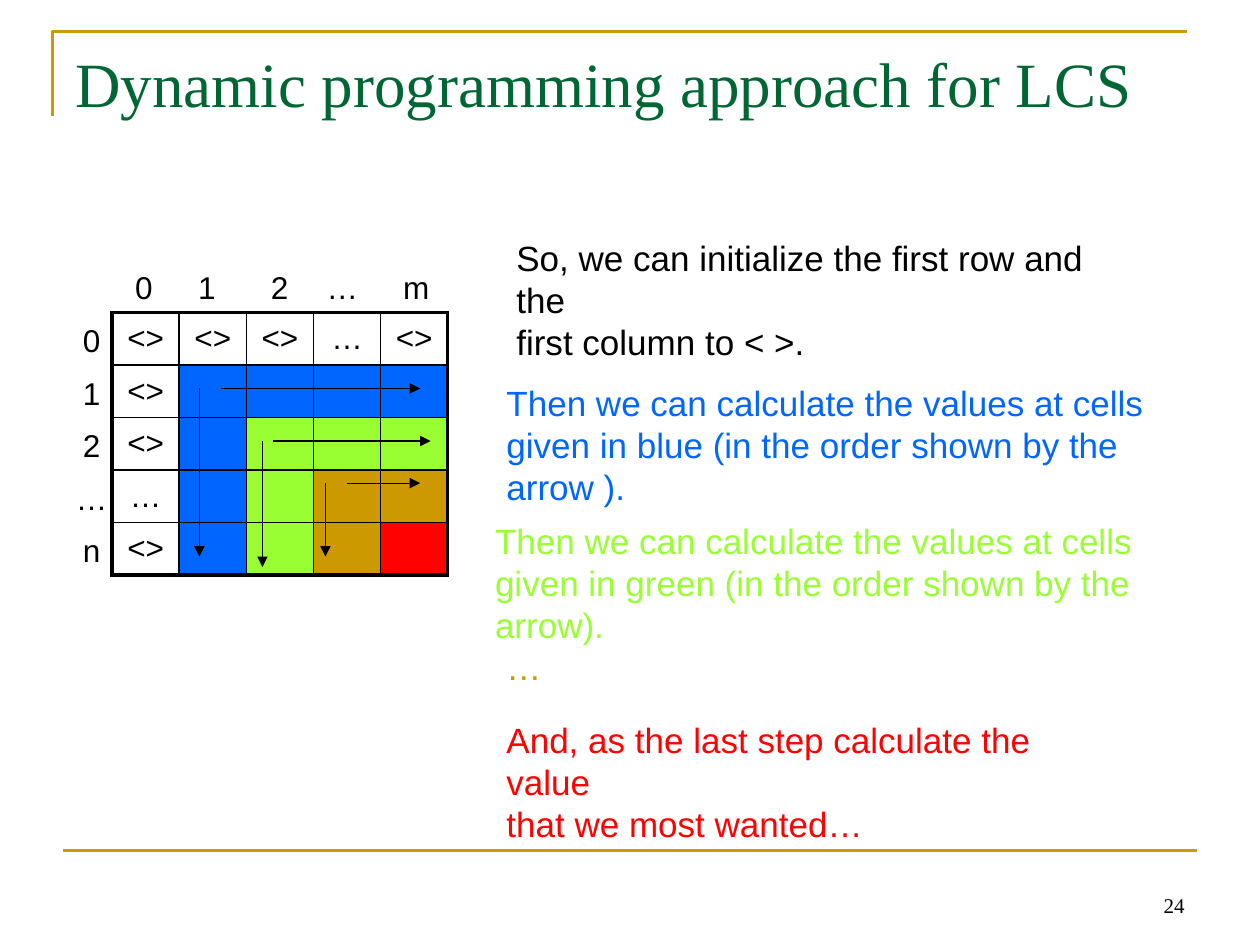
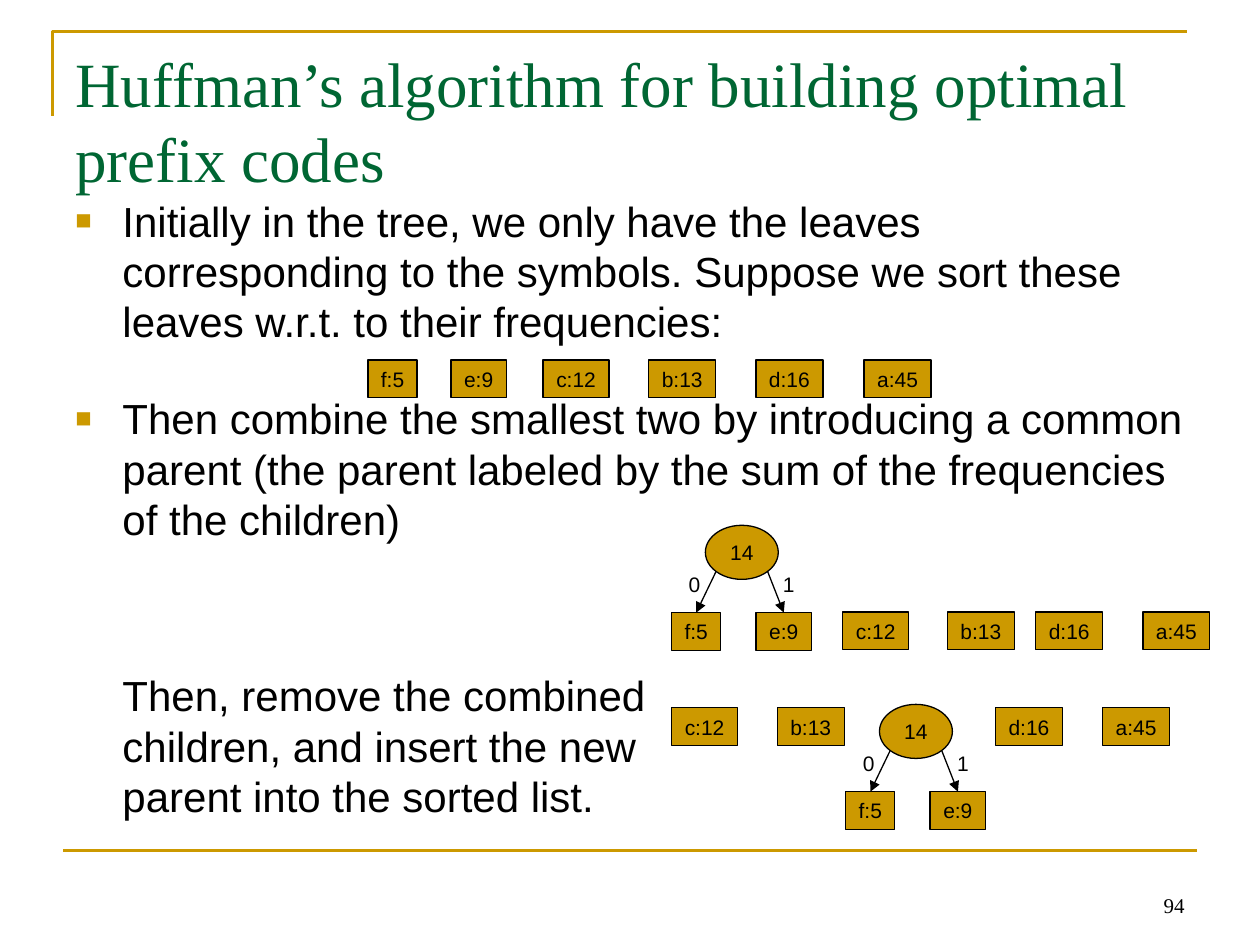
from math import cos, pi, sin

from lxml.etree import SubElement
from pptx import Presentation
from pptx.dml.color import RGBColor as RGB
from pptx.enum.shapes import MSO_CONNECTOR as CONN, MSO_SHAPE as SHAPE
from pptx.enum.text import MSO_ANCHOR as ANCHOR, MSO_AUTO_SIZE as AUTO, PP_ALIGN as ALIGN
from pptx.oxml.ns import qn
from pptx.util import Cm, Pt


class Theme:
    black = RGB.from_string("000000")
    green = RGB.from_string("006633")
    gold = RGB.from_string("CC9900")
    blue = RGB.from_string("0066FF")
    lime = RGB.from_string("99FF33")
    red = RGB.from_string("FF0101")
    serif = "Times New Roman"
    sans = "Arial"
    title = 36
    body = 24
    note = 20
    grid = 18
    small = 12
    rule = Pt(1.5)
    thin = Pt(0.75)


def write(tf, text, size=Theme.grid, color=Theme.black, font=Theme.sans,
          align=ALIGN.LEFT, anchor=ANCHOR.TOP, wrap=True, side=0.25):
    tf.text = text
    tf.word_wrap = wrap
    tf.auto_size = AUTO.NONE
    tf.vertical_anchor = anchor
    tf.margin_left = tf.margin_right = Cm(side)
    for p in tf.paragraphs:
        p.alignment = align
        for r in p.runs:
            r.font.size = Pt(size)
            r.font.name = font
            r.font.color.rgb = color


def add_line(s, x1, y1, x2, y2, color=Theme.black, width=Theme.thin, arrow=True):
    ln = s.shapes.add_connector(CONN.STRAIGHT, Cm(x1), Cm(y1), Cm(x2), Cm(y2))
    ln.line.color.rgb = color
    ln.line.width = width
    if arrow:
        SubElement(ln.line._get_or_add_ln(), qn("a:tailEnd"), type="triangle")
    SubElement(ln._element.spPr, qn("a:effectLst"))
    return ln


prs = Presentation()
prs.slide_width, prs.slide_height = Cm(25.4), Cm(19.05)

slides = []
for title, number in (
    ("Dynamic programming approach for LCS", "24"),
    ("Huffman’s algorithm for building optimal prefix codes", "94"),
):
    s = prs.slides.add_slide(prs.slide_layouts[5])
    slides.append(s)

    fb = s.shapes.build_freeform(Cm(1.06), Cm(2.33))
    fb.add_line_segments([(Cm(1.06), Cm(0.64)), (Cm(23.92), Cm(0.64))], close=False)
    corner = fb.convert_to_shape()
    corner.shadow.inherit = False
    corner.fill.background()
    corner.line.color.rgb = Theme.gold
    corner.line.width = Theme.rule
    add_line(s, 1.27, 17.15, 24.13, 17.15, Theme.gold, Theme.rule, arrow=False)

    sp = s.shapes.title
    sp.left, sp.top, sp.width, sp.height = Cm(1.27), Cm(0.76), Cm(22.86), Cm(3.18)
    write(sp.text_frame, title, Theme.title, Theme.green, Theme.serif)

    sp = s.shapes.add_textbox(Cm(18.2), Cm(17.35), Cm(5.93), Cm(1.27))
    write(sp.text_frame, number, Theme.small, font=Theme.serif,
          align=ALIGN.RIGHT, anchor=ANCHOR.BOTTOM)

lcs, huffman = slides

n = 5
tbl_shape = lcs.shapes.add_table(n, n, Cm(2.26), Cm(6.3), Cm(6.77), Cm(5.29))
tbl = tbl_shape.table
tbl.first_row = tbl.horz_banding = False
for i in range(n):
    tbl.columns[i].width = Cm(6.77 / n)
    tbl.rows[i].height = Cm(5.29 / n)

step_colors = [None, Theme.blue, Theme.lime, Theme.gold, Theme.red]
for row in range(n):
    for col in range(n):
        cell = tbl.cell(row, col)
        tcPr = cell._tc.get_or_add_tcPr()
        for side, outer in (("lnL", col == 0), ("lnR", col == n - 1),
                            ("lnT", row == 0), ("lnB", row == n - 1)):
            ln = SubElement(tcPr, qn(f"a:{side}"), w=str(Pt(2.25 if outer else 1)))
            fill = SubElement(ln, qn("a:solidFill"))
            SubElement(fill, qn("a:srgbClr"), val=str(Theme.black))
        color = step_colors[min(row, col)]
        if color:
            cell.fill.solid()
            cell.fill.fore_color.rgb = color
        else:
            cell.fill.background()
            write(cell.text_frame, "…" if max(row, col) == 3 else "<>", align=ALIGN.CENTER)
            cell.vertical_anchor = ANCHOR.MIDDLE

row_labels = [(t, 1.85, 6.35 + 1.06 * i) for i, t in enumerate("012…n")]
col_labels = [(t, x, 5.28) for t, x in zip("012…m", (2.9, 4.17, 5.64, 6.9, 8.39))]
for text, center, y in row_labels + col_labels:
    sp = lcs.shapes.add_textbox(Cm(center - 0.5), Cm(y), Cm(1), Cm(1.02))
    write(sp.text_frame, text, align=ALIGN.CENTER, wrap=False, side=0)

for text, color, x, y, w, h in (
    ("So, we can initialize the first row and the\nfirst column to < >.",
     Theme.black, 10.16, 4.65, 12.8, 1.96),
    ("Then we can calculate the values at cells\n"
     "given in blue (in the order shown by the arrow ).",
     Theme.blue, 9.96, 7.57, 14, 1.96),
    ("Then we can calculate the values at cells\n"
     "given in green (in the order shown by the arrow).",
     Theme.lime, 9.73, 10.34, 14, 1.96),
    ("…", Theme.gold, 9.96, 12.88, 1.22, 1.09),
    ("And, as the last step calculate the value\nthat we most wanted…",
     Theme.red, 9.96, 14.35, 12.5, 1.96),
):
    sp = lcs.shapes.add_textbox(Cm(x), Cm(y), Cm(w), Cm(h))
    write(sp.text_frame, text, Theme.note, color)

for y, across_x, across_end, down_x, down_end in (
    (7.83, 4.45, 8.47, 4.02, 11.22),
    (8.89, 5.5, 8.68, 5.29, 11.43),
    (9.74, 6.99, 8.47, 6.56, 11.22),
):
    add_line(lcs, across_x, y, across_end, y)
    add_line(lcs, down_x, y, down_x, down_end)

sp = huffman.shapes.add_textbox(Cm(1.27), Cm(3.81), Cm(22.86), Cm(12.57))
write(sp.text_frame,
      "Initially in the tree, we only have the leaves corresponding to the symbols. "
      "Suppose we sort these leaves w.r.t. to their frequencies:\n"
      "Then combine the smallest two by introducing a common parent "
      "(the parent labeled by the sum of the frequencies of the children)\n"
      "Then, remove the combined\vchildren, and insert the new\vparent into the sorted list.",
      Theme.body)
for p, bullet, gap in zip(sp.text_frame.paragraphs, (True, True, False), (4.8, 26.5, 72)):
    p.space_before = Pt(gap)
    pPr = p._p.get_or_add_pPr()
    pPr.set("marL", str(Cm(0.95)))
    pPr.set("indent", str(Cm(-0.95 if bullet else 0)))
    if bullet:
        clr = SubElement(pPr, qn("a:buClr"))
        SubElement(clr, qn("a:srgbClr"), val=str(Theme.gold))
        SubElement(pPr, qn("a:buSzPct"), val="65000")
        SubElement(pPr, qn("a:buFont"), typeface=Theme.sans)
        SubElement(pPr, qn("a:buChar"), char="■")

leaf_w = {"f:5": 0.99, "e:9": 1.12, "c:12": 1.33, "b:13": 1.35, "d:16": 1.35, "a:45": 1.35}
leaf_h = 0.76
root_w, root_h = 1.47, 1.09
trees = [(14.22, 10.59), (17.73, 14.2)]
leaf_rows = [
    (7.26, {"f:5": 7.42, "e:9": 9.09, "c:12": 10.95, "b:13": 13.08, "d:16": 15.24, "a:45": 17.42}),
    (12.34, {"c:12": 16.99, "b:13": 19.1, "d:16": 20.88, "a:45": 23.04}),
    (14.27, {"c:12": 13.54, "b:13": 15.67, "d:16": 20.07, "a:45": 22.23}),
]
nodes = [(SHAPE.RECTANGLE, t, x, y, leaf_w[t], leaf_h)
         for y, leaves in leaf_rows for t, x in leaves.items()]
for x, y in trees:
    nodes += [(SHAPE.OVAL, "14", x, y, root_w, root_h),
              (SHAPE.RECTANGLE, "f:5", x - 0.68, y + 1.76, leaf_w["f:5"], leaf_h),
              (SHAPE.RECTANGLE, "e:9", x + 1.02, y + 1.76, leaf_w["e:9"], leaf_h)]

drawn = []
for kind, text, x, y, w, h in nodes:
    sp = huffman.shapes.add_shape(kind, Cm(x), Cm(y), Cm(w), Cm(h))
    sp.shadow.inherit = False
    sp.fill.solid()
    sp.fill.fore_color.rgb = Theme.gold
    sp.line.color.rgb = Theme.black
    sp.line.width = Theme.thin
    write(sp.text_frame, text, Theme.small, align=ALIGN.CENTER,
          anchor=ANCHOR.MIDDLE, wrap=False, side=0)
    drawn.append(sp)

children = [drawn[-5:-3], drawn[-2:]]
for (x, y), pair in zip(trees, children):
    for child, bit, angle, label_x in zip(pair, "01", (3 * pi / 4, pi / 4), (-0.22, 1.68)):
        start_x = x + root_w / 2 * (1 + cos(angle))
        start_y = y + root_h / 2 * (1 + sin(angle))
        ln = add_line(huffman, start_x, start_y, start_x, y + 1.76)
        ln.end_connect(child, 0)
        sp = huffman.shapes.add_textbox(Cm(x + label_x - 0.38), Cm(y + 0.81), Cm(0.76), Cm(0.76))
        write(sp.text_frame, bit, Theme.small, align=ALIGN.CENTER, wrap=False, side=0)

prs.save("out.pptx")
